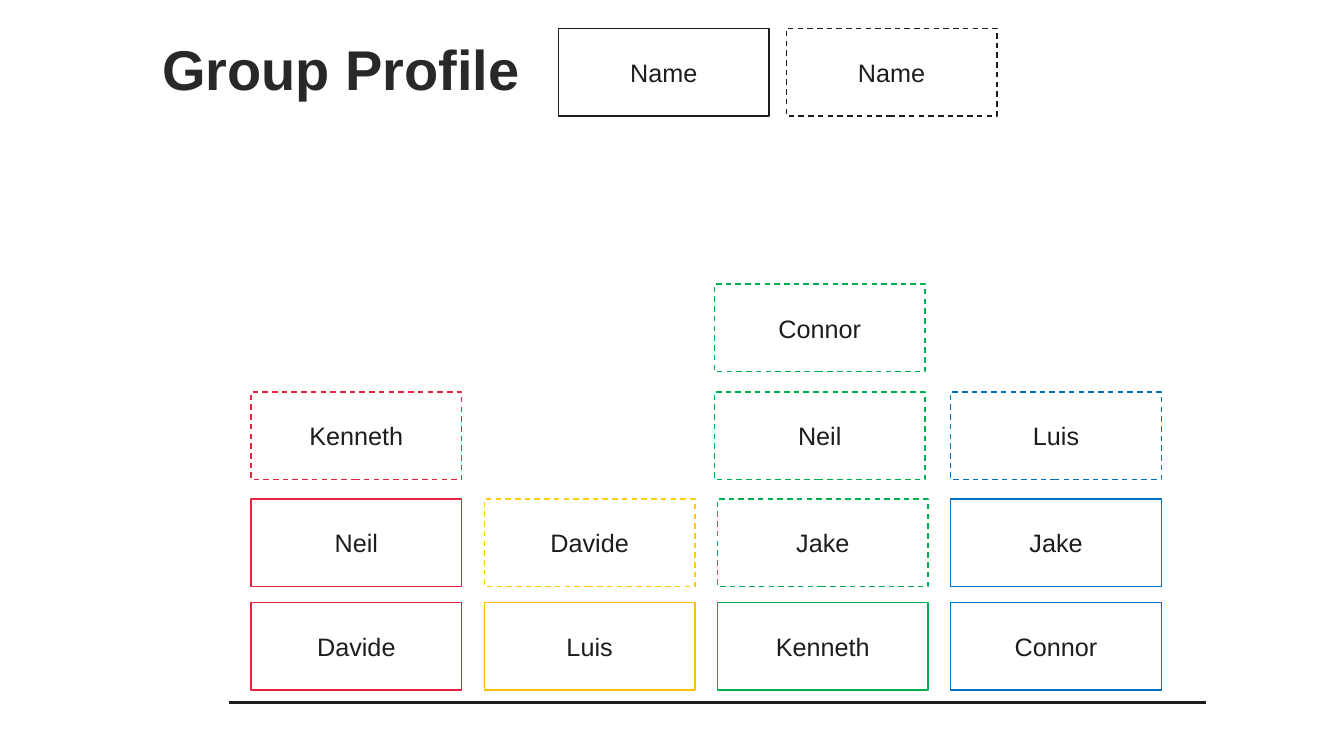
import pptx
import pptx.util
import pptx.dml.color
import pptx.enum.dml
import pptx.enum.shapes
import pptx.enum.text
import pptx.oxml.ns
import lxml.etree
from dataclasses import dataclass

Pt = pptx.util.Pt


@dataclass(frozen=True)
class Theme:
    """Hold the colours, font and type sizes."""
    font: str = "Arial"
    head: int = 40
    body: int = 18
    title: str = "272928"
    ink: str = "1B1E1E"
    white: str = "FFFFFF"
    red: str = "E82340"
    amber: str = "FFC000"
    gold: str = "FFCD02"
    green: str = "00B050"
    blue: str = "0070C0"


THEME = Theme()
CARD = (150.5, 62.6)
LEFT, STEP = 179.3, 166.6
TOPS = (430.3, 356.5, 280.1, 203)
SHIFT = -2.2
KEYS = ((398.9, False), (561.6, True))
STACKS = (
    (("Davide", THEME.red, False), ("Neil", THEME.red, False),
     ("Kenneth", THEME.red, True)),
    (("Luis", THEME.amber, False), ("Davide", THEME.gold, True)),
    (("Kenneth", THEME.green, False), ("Jake", THEME.green, True),
     ("Neil", THEME.green, True), ("Connor", THEME.green, True)),
    (("Connor", THEME.blue, False), ("Jake", THEME.blue, False),
     ("Luis", THEME.blue, True)),
)


def paint(color):
    """Turn a hex string into a colour."""
    return pptx.dml.color.RGBColor.from_string(color)


def write(shape, text, size=THEME.body, color=THEME.ink, bold=False,
          align=pptx.enum.text.PP_ALIGN.CENTER, space=None):
    """Set and format the text of a shape."""
    frame = shape.text_frame
    frame.word_wrap = True
    frame.vertical_anchor = pptx.enum.text.MSO_ANCHOR.MIDDLE
    para = frame.paragraphs[0]
    para.alignment = align
    para.line_spacing = space
    run = para.add_run()
    run.text = text
    run.font.name = THEME.font
    run.font.size = Pt(size)
    run.font.bold = bold
    run.font.color.rgb = paint(color)


def stroke(line, color, width=1, dashed=False):
    """Format an outline or a rule."""
    line.color.rgb = paint(color)
    line.width = Pt(width)
    if dashed:
        line.dash_style = pptx.enum.dml.MSO_LINE.DASH


def add_title(slide, text):
    """Place and format the title."""
    title = slide.shapes.title
    title.left, title.top = Pt(104.4), Pt(29.5)
    title.width, title.height = Pt(757.4), Pt(43.9)
    frame = title.text_frame
    frame.margin_left = frame.margin_right = Pt(11.5)
    frame.margin_top = frame.margin_bottom = 0
    frame.auto_size = pptx.enum.text.MSO_AUTO_SIZE.SHAPE_TO_FIT_TEXT
    write(title, text, size=THEME.head, color=THEME.title, bold=True,
          align=pptx.enum.text.PP_ALIGN.LEFT, space=0.9)


def add_card(slide, text, left, top, color, dashed):
    """Add a name card with a solid or dashed outline."""
    card = slide.shapes.add_shape(
        pptx.enum.shapes.MSO_SHAPE.RECTANGLE,
        Pt(left), Pt(top), *map(Pt, CARD))
    card.shadow.inherit = False
    card.fill.solid()
    card.fill.fore_color.rgb = paint(THEME.white)
    stroke(card.line, color, dashed=dashed)
    write(card, text)


def add_base(slide, left, right, top):
    """Add the base line under the stacks."""
    base = slide.shapes.add_connector(
        pptx.enum.shapes.MSO_CONNECTOR.STRAIGHT,
        Pt(left), Pt(top), Pt(right), Pt(top))
    stroke(base.line, THEME.ink, width=2)
    lxml.etree.SubElement(base._element.spPr,
                          pptx.oxml.ns.qn("a:effectLst"))


def main():
    """Build and save the slide."""
    deck = pptx.Presentation()
    deck.slide_width, deck.slide_height = Pt(960), Pt(540)
    slide = deck.slides.add_slide(deck.slide_layouts.get_by_name("Title Only"))
    add_title(slide, "Group Profile")
    add_base(slide, 163.4, 861.8, 501.8)
    for left, dashed in KEYS:
        add_card(slide, "Name", left, 20.2, THEME.ink, dashed)
    for col, stack in enumerate(STACKS):
        for row, (name, color, dashed) in enumerate(stack):
            shift = SHIFT if col == 2 and row > 1 else 0
            add_card(slide, name, LEFT + col * STEP + shift, TOPS[row],
                     color, dashed)
    deck.save("out.pptx")


if __name__ == "__main__":
    main()
